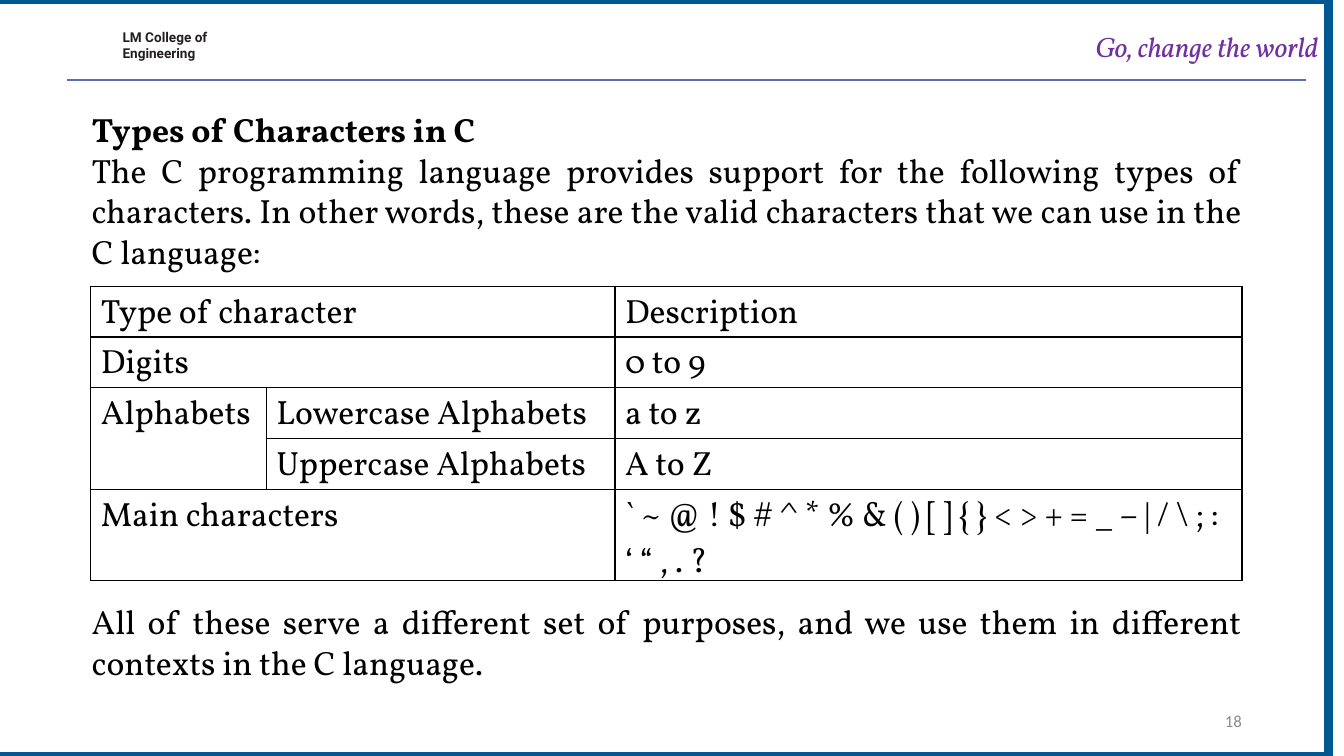
from dataclasses import dataclass

from lxml.etree import SubElement
from pptx import Presentation
from pptx.dml.color import RGBColor as Rgb
from pptx.enum.shapes import MSO_CONNECTOR as Connector, MSO_SHAPE as Shape
from pptx.enum.text import MSO_ANCHOR as Anchor, PP_ALIGN as Align
from pptx.oxml import parse_xml
from pptx.oxml.ns import nsdecls, qn
from pptx.util import Cm, Pt


@dataclass(frozen=True)
class Style:
    """Font settings of one kind of text."""
    font: str
    size: float
    color: str
    bold: bool = False
    italic: bool = False


@dataclass(frozen=True)
class Theme:
    """Colours and type styles of the slide."""
    paper: str = "FFFFFF"
    frame: str = "005893"
    rule: str = "5E6DB3"
    grid: str = "000000"
    school: Style = Style("Roboto", 9.7, "231F20", bold=True)
    motto: Style = Style("Vollkorn", 20, "7030A0", italic=True)
    heading: Style = Style("Vollkorn", 24, "000000", bold=True)
    body: Style = Style("Vollkorn", 24, "000000")
    number: Style = Style("Calibri", 12, "8C8C8C")


THEME = Theme()
INTRO = ("The C programming language provides support for the following types of "
         "characters. In other words, these are the valid characters that we can "
         "use in the C language:")
CLOSING = ("All of these serve a different set of purposes, and we use them in "
           "different contexts in the C language.")
CHARACTER_ROWS = [
    ("Type of character", "", "Description"),
    ("Digits", "", "0 to 9"),
    ("Alphabets", "Lowercase Alphabets", "a to z"),
    ("", "Uppercase Alphabets", "A to Z"),
    ("Main characters", "",
     "` ~ @ ! $ # ^ * % & ( ) [ ] { } < > + = _ – | / \\ ; : ‘ “ , . ?"),
]
MERGES = [((0, 0), (0, 1)), ((1, 0), (1, 1)), ((2, 0), (3, 0)), ((4, 0), (4, 1))]
COLUMN_WIDTHS = (4.42, 8.79, 15.8)
ROW_HEIGHTS = (1.28, 1.28, 1.28, 1.28, 2.29)


def add_span(para, text, style):
    """Add one styled run to a paragraph."""
    span = para.add_run()
    span.text = text
    font = span.font
    font.name, font.size = style.font, Pt(style.size)
    font.bold, font.italic = style.bold, style.italic
    font.color.rgb = Rgb.from_string(style.color)


def add_text(page, place, lines, align=Align.LEFT, anchor=Anchor.TOP,
             inset=(0.25, 0.13), spacing=None, before=0):
    """Add a text box with one paragraph per (text, style) pair."""
    frame = page.shapes.add_textbox(*map(Cm, place)).text_frame
    frame.word_wrap = True
    frame.vertical_anchor = anchor
    frame.margin_left = frame.margin_right = Cm(inset[0])
    frame.margin_top = frame.margin_bottom = Cm(inset[1])
    for index, (text, style) in enumerate(lines):
        para = frame.add_paragraph() if index else frame.paragraphs[0]
        para.alignment = align
        para.space_before = Pt(before)
        if spacing:
            para.line_spacing = spacing
        add_span(para, text, style)


def add_frame(page):
    """Add the white panel with its blue outline."""
    panel = page.shapes.add_shape(Shape.RECTANGLE, Cm(-0.38), 0, Cm(33.86), Cm(19.05))
    panel.shadow.inherit = False
    panel.fill.solid()
    panel.fill.fore_color.rgb = Rgb.from_string(THEME.paper)
    panel.line.color.rgb = Rgb.from_string(THEME.frame)
    panel.line.width = Pt(6)


def add_rule(page, left, right, top):
    """Add the horizontal line below the header."""
    rule = page.shapes.add_connector(
        Connector.STRAIGHT, Cm(left), Cm(top), Cm(right), Cm(top))
    rule.line.color.rgb = Rgb.from_string(THEME.rule)
    rule.line.width = Pt(1.25)
    SubElement(rule._element.spPr, qn("a:effectLst"))


def add_borders(cell):
    """Draw a thin line on all four sides of a cell."""
    properties = cell._tc.get_or_add_tcPr()
    for index, side in enumerate(("lnL", "lnR", "lnT", "lnB")):
        properties.insert(index, parse_xml(
            f'<a:{side} {nsdecls("a")} w="{Pt(1)}"><a:solidFill>'
            f'<a:srgbClr val="{THEME.grid}"/></a:solidFill></a:{side}>'))


def add_character_table(page, left, top):
    """Add the table of character types with its merged cells."""
    table = page.shapes.add_table(
        len(ROW_HEIGHTS), len(COLUMN_WIDTHS), Cm(left), Cm(top),
        Cm(sum(COLUMN_WIDTHS)), Cm(sum(ROW_HEIGHTS))).table
    table.first_row = table.horz_banding = False
    for column, width in zip(table.columns, COLUMN_WIDTHS):
        column.width = Cm(width)
    for row, height, texts in zip(table.rows, ROW_HEIGHTS, CHARACTER_ROWS):
        row.height = Cm(height)
        for cell, text in zip(row.cells, texts):
            cell.fill.background()
            add_borders(cell)
            if text:
                add_span(cell.text_frame.paragraphs[0], text, THEME.body)
    for first, last in MERGES:
        table.cell(*first).merge(table.cell(*last))


def main():
    """Build the slide and save it."""
    deck = Presentation()
    deck.slide_width, deck.slide_height = Cm(33.87), Cm(19.05)
    page = deck.slides.add_slide(deck.slide_layouts[6])
    add_frame(page)
    add_rule(page, 1.7, 32.92, 2.01)
    add_text(page, (3.09, 0.74, 2.6, 0.84),
             [("LM College of", THEME.school), ("Engineering", THEME.school)],
             inset=(0, 0.02), spacing=Pt(10.8), before=0.8)
    add_text(page, (23.27, 0.58, 10.21, 1.3), [("Go, change the world", THEME.motto)],
             Align.RIGHT, Anchor.MIDDLE, spacing=0.9)
    add_text(page, (2.31, 2.72, 28.98, 4.2),
             [("Types of Characters in C", THEME.heading), (INTRO, THEME.body)],
             Align.JUSTIFY, inset=(0, 0.02), before=0.6)
    add_character_table(page, 2.29, 7.21)
    add_text(page, (2.31, 15.13, 28.98, 2.1), [(CLOSING, THEME.body)],
             Align.JUSTIFY, inset=(0, 0.02), before=0.6)
    add_text(page, (23.93, 17.65, 7.62, 1.02), [("18", THEME.number)],
             Align.RIGHT, Anchor.MIDDLE)
    deck.save("out.pptx")


if __name__ == "__main__":
    main()
